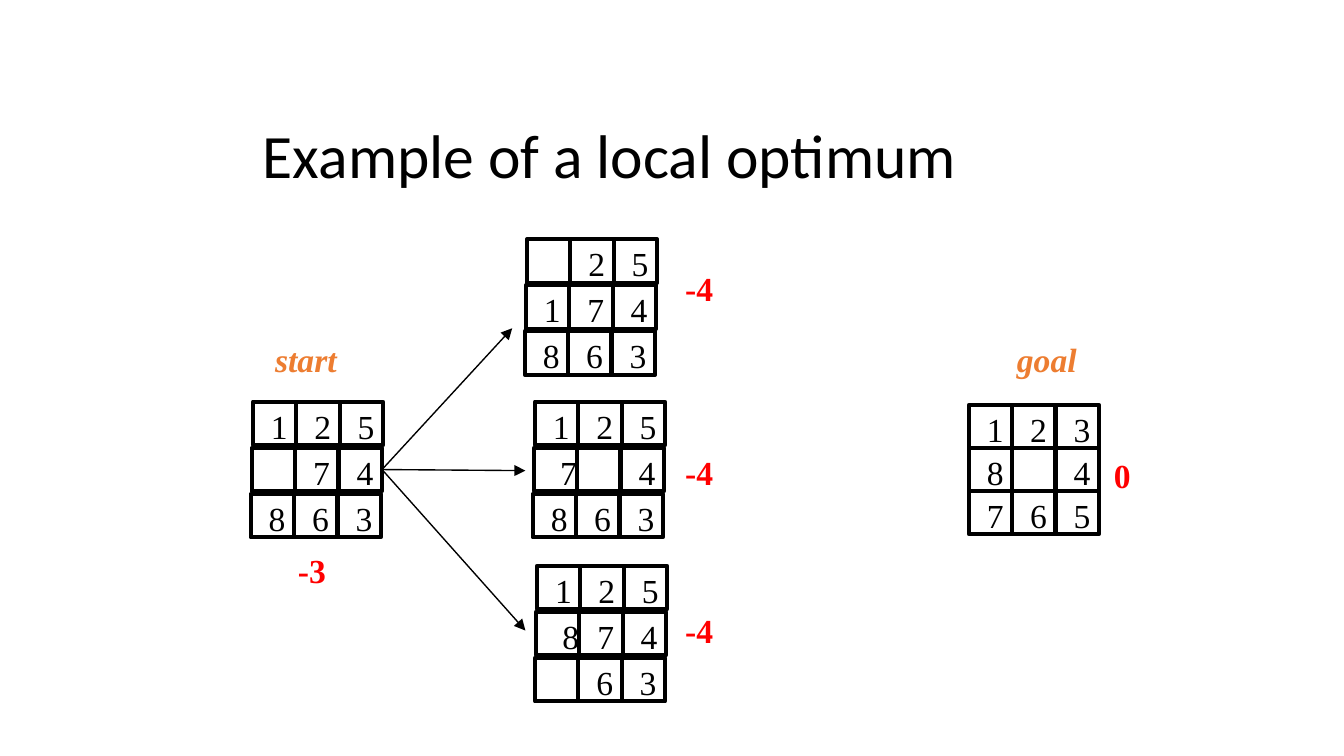
from pptx import Presentation
from pptx.dml.color import RGBColor
from pptx.enum.shapes import MSO_CONNECTOR as Link, MSO_SHAPE as Shape
from pptx.enum.text import MSO_ANCHOR as Anchor, MSO_AUTO_SIZE as Fit
from pptx.oxml.ns import qn
from pptx.util import Cm, Pt
from lxml.etree import SubElement

BLACK, RED, ORANGE = "000000", "FF0000", "ED7D31"


def color(code):
    return RGBColor.from_string(code)


class Board:
    serif = "Times New Roman"
    cell = 0.82
    row = 0.87

    def __init__(self, slide):
        self.slide = slide

    def font(self, para, name, size, code, bold=False, italic=False):
        font = para.font
        font.name, font.size = name, Pt(size)
        font.bold, font.italic = bold, italic
        font.color.rgb = color(code)

    def title(self, text, x, y, w, h):
        frame = self.slide.shapes.add_textbox(Cm(x), Cm(y), Cm(w), Cm(h)).text_frame
        frame.word_wrap = True
        frame.vertical_anchor = Anchor.MIDDLE
        para = frame.paragraphs[0]
        para.text = text
        para.line_spacing = 0.9
        self.font(para, "Calibri", 33, BLACK)

    def label(self, text, x, y, w=0.83, code=BLACK, bold=False, italic=False):
        frame = self.slide.shapes.add_textbox(Cm(x), Cm(y), Cm(w), Cm(1.02)).text_frame
        frame.word_wrap = False
        frame.auto_size = Fit.SHAPE_TO_FIT_TEXT
        para = frame.paragraphs[0]
        para.text = text
        self.font(para, self.serif, 18, code, bold, italic)

    def tile(self, text, x, y):
        size = Cm(self.cell)
        box = self.slide.shapes.add_shape(Shape.RECTANGLE, Cm(x), Cm(y), size, size)
        box.shadow.inherit = False
        box.fill.background()
        box.line.color.rgb = color(BLACK)
        box.line.width = Pt(2.25)
        if text:
            wide = 0.99 if len(text) > 1 else 0.83
            self.label(text, x + 0.09, y - 0.05, wide)
        return box

    def grid(self, rows, x, y, step=row, skew=0.02):
        return [
            [
                self.tile(text, x + c * self.cell - r * skew, y + r * step)
                for c, text in enumerate(line.split(","))
            ]
            for r, line in enumerate(rows)
        ]

    def arrow(self, box, x, y):
        start = box.left + box.width, box.top + box.height // 2
        line = self.slide.shapes.add_connector(Link.STRAIGHT, *start, Cm(x), Cm(y))
        line.begin_connect(box, 3)
        line.line.color.rgb = color(BLACK)
        line.line.width = Pt(0.75)
        SubElement(line.line._get_or_add_ln(), qn("a:tailEnd"), type="triangle")
        SubElement(line._element.spPr, qn("a:effectLst"))


def main():
    deck = Presentation()
    deck.slide_width, deck.slide_height = Cm(25.4), Cm(14.28)
    board = Board(deck.slides.add_slide(deck.slide_layouts[6]))

    board.title("Example of a local optimum", 4.72, 1.8, 16.21, 2.39)

    start = board.grid(["1,2,5", ",7,4", "8,6,3"], 4.78, 7.59)
    board.grid(["1,2,3", "8,,4", "7,6,5"], 18.31, 7.65, step=0.81, skew=0)
    board.grid(["1,2,5", " 7,,4", "8,6,3"], 10.11, 7.59)
    board.grid([",2,5", "1,7,4", "8,6,3"], 9.96, 4.52)
    board.grid(["1,2,5", " 8,7,4", ",6,3"], 10.15, 10.69)

    for x, y in [(9.93, 8.89), (9.68, 6.2), (9.93, 11.91)]:
        board.arrow(start[1][2], x, y)

    scores = [
        ("-3", 5.38, 10.26, 1.04),
        ("-4", 12.7, 4.93, 1.04),
        ("-4", 12.7, 8.41, 1.04),
        ("-4", 12.7, 11.4, 1.04),
        ("0", 20.8, 8.46, 0.83),
    ]
    for text, x, y, w in scores:
        board.label(text, x, y, w, RED, bold=True)

    for text, x, w in [("start", 4.95, 1.68), ("goal", 18.97, 1.65)]:
        board.label(text, x, 6.27, w, ORANGE, bold=True, italic=True)

    deck.save("out.pptx")


if __name__ == "__main__":
    main()
